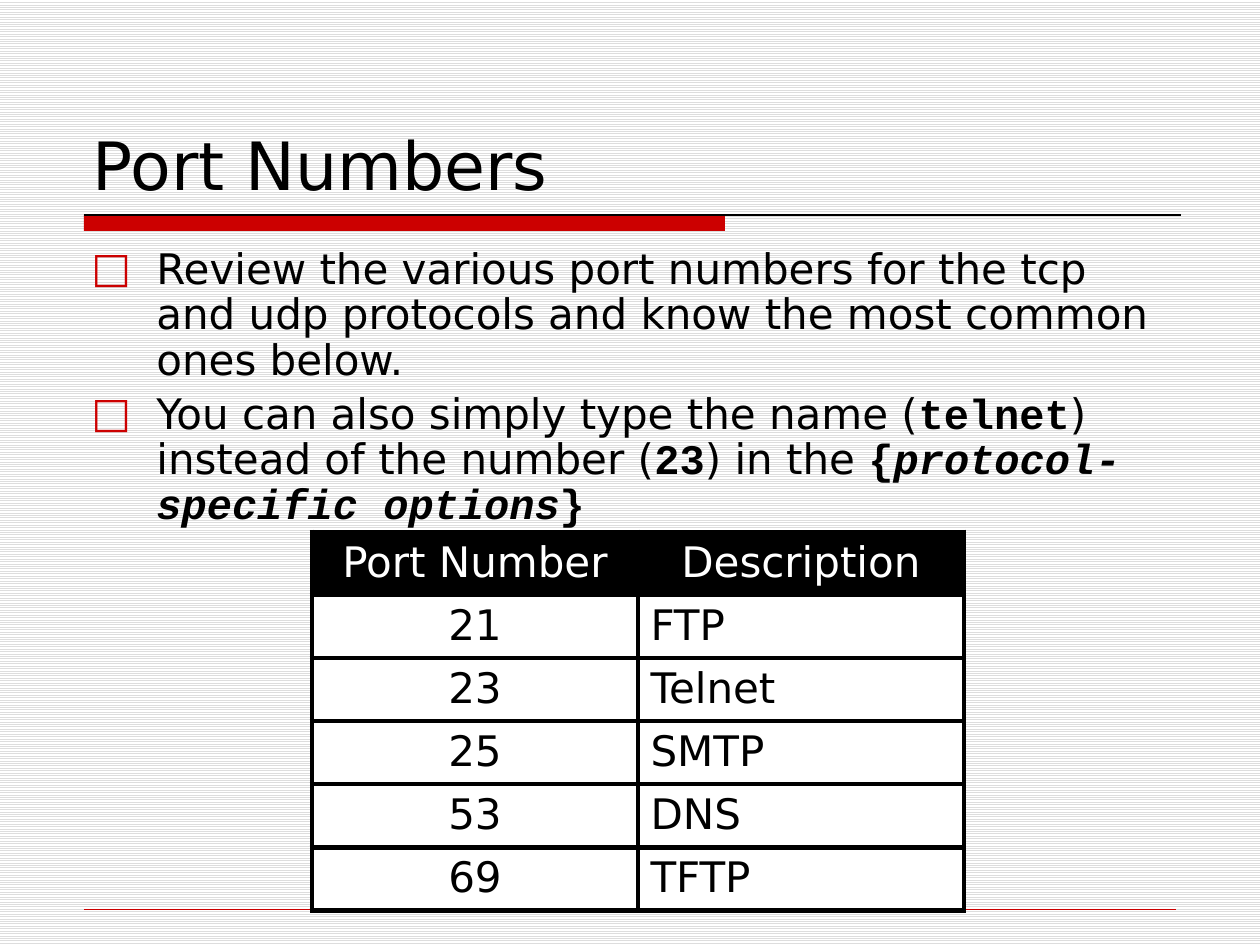
import pptx
import pptx.dml.color
import pptx.enum.dml
import pptx.enum.shapes
import pptx.enum.text
import pptx.oxml
import pptx.oxml.ns
import pptx.util

RGBColor = pptx.dml.color.RGBColor
BLACK = RGBColor(0x00, 0x00, 0x00)
WHITE = RGBColor(0xFF, 0xFF, 0xFF)
RED = RGBColor(0xCC, 0x00, 0x00)
STRIPE = RGBColor(0xDD, 0xDD, 0xDD)

SANS, MONO = "DejaVu Sans", "Courier New"
ALIGN = pptx.enum.text.PP_ALIGN
ANCHOR = pptx.enum.text.MSO_ANCHOR
NS = pptx.oxml.ns.nsdecls("a")

BULLETS = [
    [("Review the various port numbers for the tcp and udp protocols "
      "and know the most common ones below.", SANS, False)],
    [("You can also simply type the name (", SANS, False),
     ("telnet", MONO, False),
     (") instead of the number (", SANS, False),
     ("23", MONO, False),
     (") in the ", SANS, False),
     ("{", MONO, False),
     ("protocol-specific options", MONO, True),
     ("}", MONO, False)],
]
PORTS = [("Port Number", "Description"), ("21", "FTP"), ("23", "Telnet"),
         ("25", "SMTP"), ("53", "DNS"), ("69", "TFTP")]


def px(length):
    return pptx.util.Emu(round(length * 914400 / 126))


def add_run(paragraph, text, size, color=BLACK, font=SANS, italic=False):
    """Add a run; monospaced runs are bold."""
    run = paragraph.add_run()
    run.text = text
    run.font.name = font
    run.font.size = pptx.util.Pt(size)
    run.font.bold = font == MONO
    run.font.italic = italic
    run.font.color.rgb = color


def paint_background(slide):
    fill = slide.background.fill
    fill.patterned()
    fill.pattern = pptx.enum.dml.MSO_PATTERN.LIGHT_HORIZONTAL
    fill.fore_color.rgb = STRIPE
    fill.back_color.rgb = WHITE


def add_rule(slide, left, top, width, color, weight):
    rule = slide.shapes.add_connector(
        pptx.enum.shapes.MSO_CONNECTOR.STRAIGHT,
        px(left), px(top), px(left + width), px(top))
    rule.line.color.rgb = color
    rule.line.width = pptx.util.Pt(weight)
    rule._element.spPr.append(pptx.oxml.parse_xml(f"<a:effectLst {NS}/>"))


def add_title_bar(slide, left, top, width, bar_width, bar_height):
    bar = slide.shapes.add_shape(
        pptx.enum.shapes.MSO_SHAPE.RECTANGLE,
        px(left), px(top), px(bar_width), px(bar_height))
    bar.shadow.inherit = False
    bar.fill.solid()
    bar.fill.fore_color.rgb = RED
    bar.line.fill.background()
    add_rule(slide, left, top, width, BLACK, 0.75)


def place_title(slide, left, top, width, height):
    title = slide.shapes.title
    title.left, title.top = px(left), px(top)
    title.width, title.height = px(width), px(height)
    frame = title.text_frame
    frame.auto_size = pptx.enum.text.MSO_AUTO_SIZE.NONE
    frame.vertical_anchor = ANCHOR.BOTTOM
    frame.paragraphs[0].alignment = ALIGN.LEFT
    add_run(frame.paragraphs[0], "Port Numbers", 38)


def add_bullets(slide, left, top, width, height, indent):
    box = slide.shapes.add_textbox(px(left), px(top), px(width), px(height))
    frame = box.text_frame
    frame.word_wrap = True
    for index, runs in enumerate(BULLETS):
        paragraph = frame.add_paragraph() if index else frame.paragraphs[0]
        paragraph.line_spacing = 0.9
        paragraph.space_before = pptx.util.Pt(5)
        properties = paragraph._p.get_or_add_pPr()
        properties.set("marL", str(px(indent)))
        properties.set("indent", str(-px(indent)))
        for bullet in (f'<a:buClr {NS}><a:srgbClr val="{RED}"/></a:buClr>',
                       f'<a:buFont {NS} typeface="{SANS}"/>',
                       f'<a:buChar {NS} char="□"/>'):
            properties.append(pptx.oxml.parse_xml(bullet))
        for text, font, italic in runs:
            add_run(paragraph, text, 24, font=font, italic=italic)


def add_borders(cell, weight):
    properties = cell._tc.get_or_add_tcPr()
    for side in ("lnL", "lnR", "lnT", "lnB"):
        properties.append(pptx.oxml.parse_xml(
            f'<a:{side} {NS} w="{pptx.util.Pt(weight)}"><a:solidFill>'
            f'<a:srgbClr val="{BLACK}"/></a:solidFill></a:{side}>'))


def add_port_table(slide, left, top, width, row_height):
    table = slide.shapes.add_table(
        len(PORTS), 2, px(left), px(top), px(width),
        px(row_height * len(PORTS))).table
    for row, entries in enumerate(PORTS):
        header = row == 0
        for column, text in enumerate(entries):
            cell = table.cell(row, column)
            add_borders(cell, 3)
            cell.fill.solid()
            cell.fill.fore_color.rgb = BLACK if header else WHITE
            paragraph = cell.text_frame.paragraphs[0]
            centred = header or column == 0
            paragraph.alignment = ALIGN.CENTER if centred else ALIGN.LEFT
            add_run(paragraph, text, 24, WHITE if header else BLACK)


def main():
    deck = pptx.Presentation()
    deck.slide_width, deck.slide_height = px(1260), px(945)
    slide = deck.slides.add_slide(deck.slide_layouts[5])
    paint_background(slide)
    add_title_bar(slide, 84, 215, 1097, bar_width=641, bar_height=16)
    add_rule(slide, 84, 909, 1092, RED, 0.25)
    place_title(slide, 80, 42, 1102, 168)
    add_bullets(slide, 79, 242, 1102, 218, indent=65)
    add_port_table(slide, 312, 532, 652, row_height=62)
    deck.save("out.pptx")


if __name__ == "__main__":
    main()
